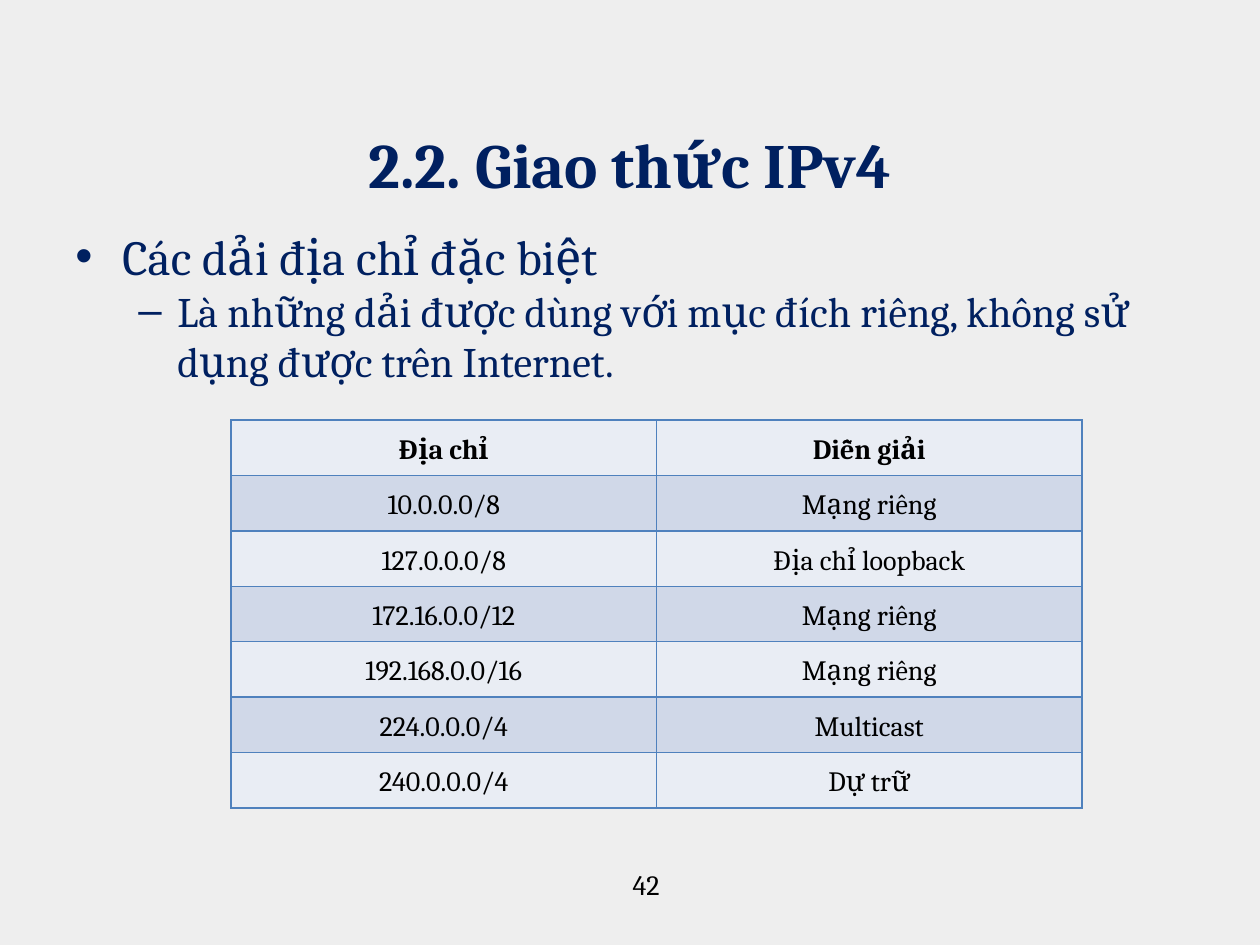
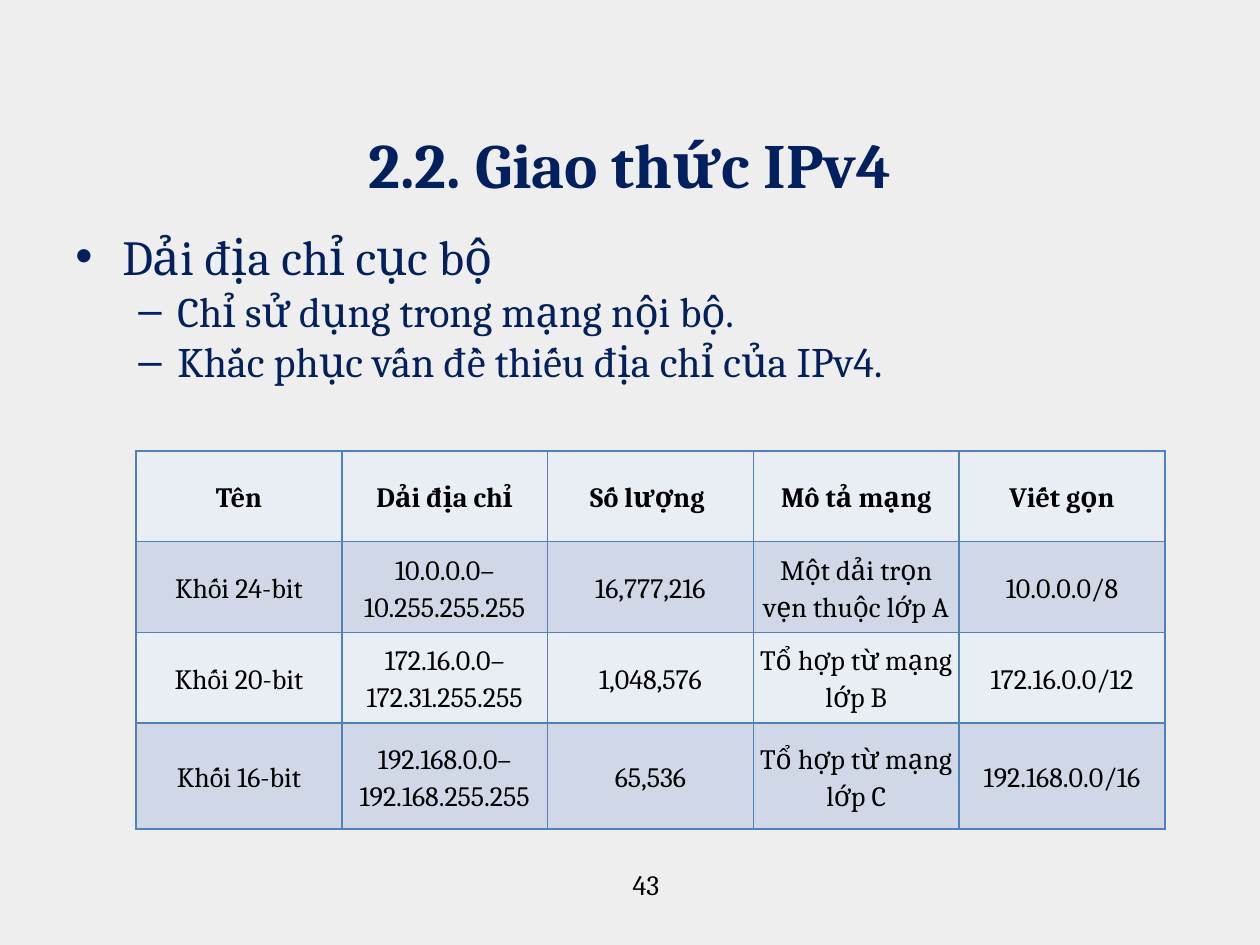
from lxml import etree
from pptx import Presentation
from pptx.dml.color import RGBColor
from pptx.enum.text import MSO_ANCHOR, PP_ALIGN
from pptx.oxml.ns import qn
from pptx.util import Pt

PX = 914400 / 126
FONT, NAVY, BLACK = "Cambria", "002060", "000000"
BACKGROUND, BORDER, BANDS = "EEEEEE", "4F81BD", ("E9EDF4", "D0D8E8")
LEFT, CENTER = PP_ALIGN.LEFT, PP_ALIGN.CENTER
TOP, MIDDLE, BOTTOM = MSO_ANCHOR.TOP, MSO_ANCHOR.MIDDLE, MSO_ANCHOR.BOTTOM

TITLE = {"size": Pt(36), "bold": True, "color": NAVY}
NUMBER = {"size": Pt(16), "bold": False, "color": BLACK}
HEADER = {"size": Pt(16), "bold": True, "color": BLACK}
# Outline levels: bullet, left margin, hanging indent, font format
LEVELS = [
    ("•", 47, 47, {"size": Pt(28), "bold": False, "color": NAVY}),
    ("–", 102, 39, {"size": Pt(24), "bold": False, "color": NAVY}),
]

SLIDES = [
    {
        "number": "42",
        "outline": [
            (0, "Các dải địa chỉ đặc biệt"),
            (1, "Là những dải được dùng với mục đích riêng, "
                "không sử dụng được trên Internet."),
        ],
        "box": (231, 420, 851, 388),
        "last_row_extra": 0,
        "insets": (9, 0),
        "paragraph": {"space_before": Pt(5), "space_after": Pt(5), "line_spacing": 1.15},
        "rows": [
            ("Địa chỉ", "Diễn giải"),
            ("10.0.0.0/8", "Mạng riêng"),
            ("127.0.0.0/8", "Địa chỉ loopback"),
            ("172.16.0.0/12", "Mạng riêng"),
            ("192.168.0.0/16", "Mạng riêng"),
            ("224.0.0.0/4", "Multicast"),
            ("240.0.0.0/4", "Dự trữ"),
        ],
    },
    {
        "number": "43",
        "outline": [
            (0, "Dải địa chỉ cục bộ"),
            (1, "Chỉ sử dụng trong mạng nội bộ."),
            (1, "Khắc phục vấn đề thiếu địa chỉ của IPv4."),
        ],
        "box": (136, 451, 1029, 378),
        "last_row_extra": 15,
        "insets": (2, 2),
        "paragraph": {"space_before": Pt(5), "line_spacing": 1.15},
        "rows": [
            ("Tên", "Dải địa chỉ", "Số lượng ", "Mô tả mạng", "Viết gọn"),
            ("Khối 24-bit", "10.0.0.0–10.255.255.255", "16,777,216",
             "Một dải trọn vẹn thuộc lớp A", "10.0.0.0/8"),
            ("Khối 20-bit", "172.16.0.0–172.31.255.255", "1,048,576",
             "Tổ hợp từ mạng lớp B", "172.16.0.0/12"),
            ("Khối 16-bit", "192.168.0.0–192.168.255.255", "65,536",
             "Tổ hợp từ mạng lớp C", "192.168.0.0/16"),
        ],
    },
]


def px(n):
    return round(n * PX)


def write(p, text, align, fmt):
    p.alignment = align
    r = p.add_run()
    r.text = text
    r.font.name = FONT
    for name, value in fmt.items():
        if name == "color":
            r.font.color.rgb = RGBColor.from_string(value)
        else:
            setattr(r.font, name, value)


prs = Presentation()
prs.slide_width, prs.slide_height = px(1260), px(945)

for page in SLIDES:
    s = prs.slides.add_slide(prs.slide_layouts[6])
    s.background.fill.solid()
    s.background.fill.fore_color.rgb = RGBColor.from_string(BACKGROUND)

    # Outline, title and page number
    outline = [(text, LEFT, LEVELS[level][3], level) for level, text in page["outline"]]
    for box, anchor, paragraphs in (
        ((63, 220, 1113, 662), TOP, outline),
        ((63, 49, 1134, 158), BOTTOM, [("2.2. Giao thức IPv4", CENTER, TITLE, None)]),
        ((95, 861, 1102, 66), TOP, [(page["number"], CENTER, NUMBER, None)]),
    ):
        tf = s.shapes.add_textbox(*map(px, box)).text_frame
        tf.word_wrap = True
        tf.vertical_anchor = anchor
        for i, (text, align, fmt, level) in enumerate(paragraphs):
            p = tf.add_paragraph() if i else tf.paragraphs[0]
            write(p, text, align, fmt)
            if level is not None:
                bullet, margin, hanging, _ = LEVELS[level]
                p.level = level
                pPr = p._p.get_or_add_pPr()
                pPr.set("marL", str(px(margin)))
                pPr.set("indent", str(-px(hanging)))
                etree.SubElement(pPr, qn("a:buFont"), typeface="Arial")
                etree.SubElement(pPr, qn("a:buChar"), char=bullet)

    # Address table
    rows, extra = page["rows"], page["last_row_extra"]
    x, y, width, height = page["box"]
    table = s.shapes.add_table(len(rows), len(rows[0]), px(x), px(y),
                               px(width), px(height)).table
    for column in table.columns:
        column.width = px(width / len(rows[0]))
    for row in table.rows:
        row.height = px((height - extra) / len(rows))
    table.rows[len(rows) - 1].height += px(extra)

    side, edge = map(px, page["insets"])
    for i, row in enumerate(rows):
        for j, text in enumerate(row):
            cell = table.cell(i, j)
            cell.margin_left = cell.margin_right = side
            cell.margin_top = cell.margin_bottom = edge
            cell.vertical_anchor = MIDDLE
            p = cell.text_frame.paragraphs[0]
            write(p, text, CENTER, NUMBER if i else HEADER)
            for name, value in page["paragraph"].items():
                setattr(p, name, value)
            # Borders come before the fill in the cell properties
            tcPr = cell._tc.get_or_add_tcPr()
            for tag in ("a:lnL", "a:lnR", "a:lnT", "a:lnB"):
                ln = etree.SubElement(tcPr, qn(tag), w=str(Pt(1)))
                fill = etree.SubElement(ln, qn("a:solidFill"))
                etree.SubElement(fill, qn("a:srgbClr"), val=BORDER)
            cell.fill.solid()
            cell.fill.fore_color.rgb = RGBColor.from_string(BANDS[i % 2])

prs.save("out.pptx")
